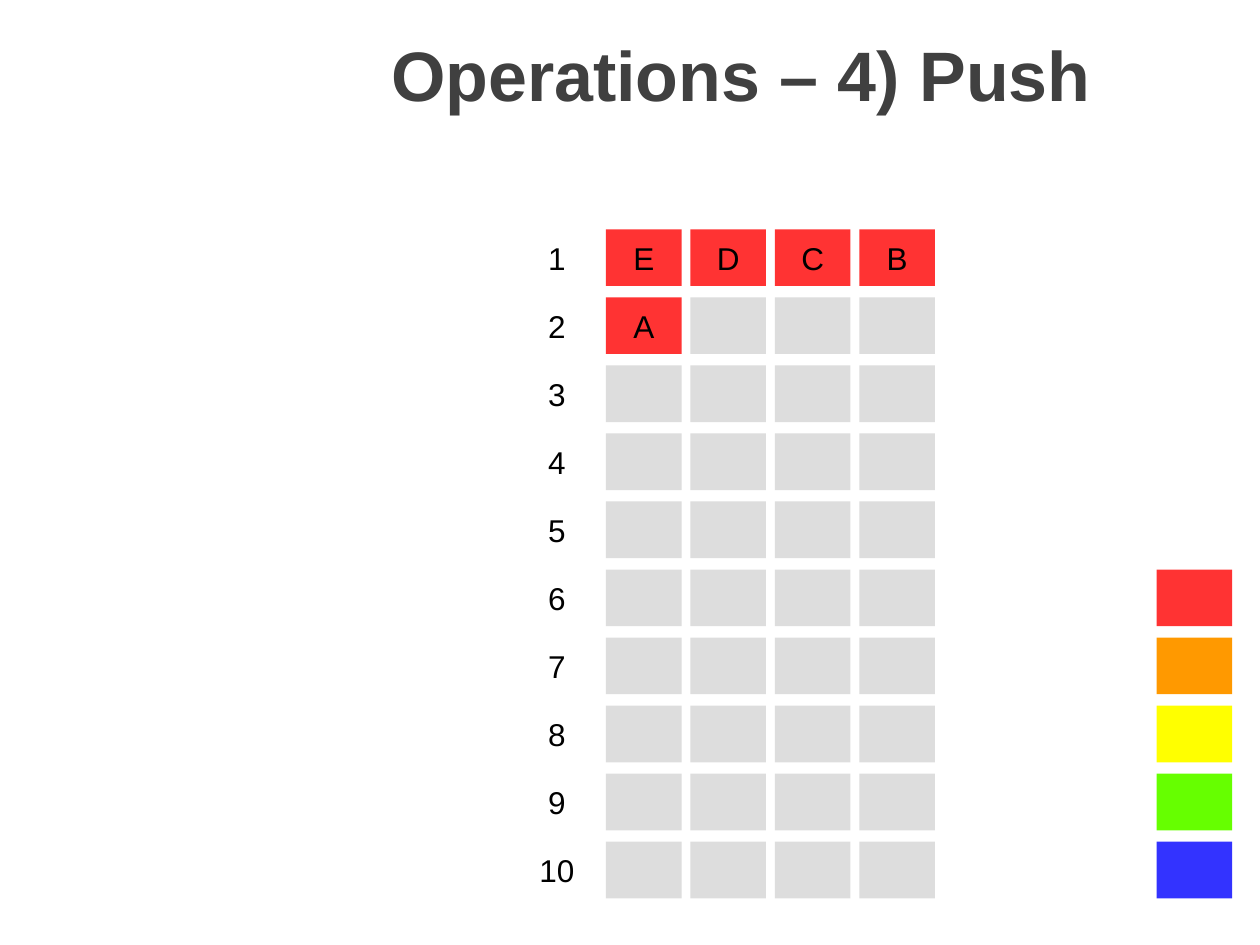
from dataclasses import dataclass

from pptx import Presentation, util as u
from pptx.dml.color import RGBColor
from pptx.enum import shapes, text


@dataclass(frozen=True)
class Theme:
    font: str = "Arial"
    head: int = 40
    body: int = 18
    dark: str = "404040"
    ink: str = "000000"
    blank: str = "FFFFFF"
    free: str = "DDDDDD"
    used: str = "FF3333"
    keys: tuple[str, ...] = ("FF3333", "FF9900", "FFFF00", "66FF00", "3333FF")


@dataclass(frozen=True)
class Grid:
    left: float
    top: float = 1.82
    col: float = 0.67
    row: float = 0.54
    wide: float = 0.6
    high: float = 0.45


@dataclass(frozen=True)
class Cell:
    grid: Grid
    col: int
    row: int
    fill: str
    label: str = ""


LOOK = Theme()
STACK, INDEX, LEGEND = Grid(4.81), Grid(4.12), Grid(9.18)
ROWS, COLS = 10, 4
ITEMS = "EDCBA"


def style(frame, size: int, color: str, bold: bool = False) -> None:
    frame.word_wrap = True
    frame.vertical_anchor = text.MSO_ANCHOR.MIDDLE
    para = frame.paragraphs[0]
    para.alignment = text.PP_ALIGN.CENTER
    for run in para.runs:
        font = run.font
        font.name, font.size, font.bold = LOOK.font, u.Pt(size), bold
        font.color.rgb = RGBColor.from_string(color)


def draw(slide, cell: Cell) -> None:
    grid = cell.grid
    box = slide.shapes.add_shape(
        shapes.MSO_SHAPE.RECTANGLE,
        u.Inches(grid.left + cell.col * grid.col),
        u.Inches(grid.top + cell.row * grid.row),
        u.Inches(grid.wide), u.Inches(grid.high))
    box.shadow.inherit = False
    box.fill.solid()
    box.fill.fore_color.rgb = RGBColor.from_string(cell.fill)
    box.line.fill.background()
    if cell.label:
        box.text_frame.text = cell.label
        style(box.text_frame, LOOK.body, LOOK.ink)


deck = Presentation()
deck.slide_width, deck.slide_height = u.Inches(10), u.Inches(7.5)
slide = deck.slides.add_slide(deck.slide_layouts[5])

# Title
title = slide.shapes.title
title.left, title.top = u.Inches(1.77), u.Inches(0)
title.width, title.height = u.Inches(8.22), u.Inches(1.16)
title.text_frame.text = "Operations – 4) Push"
style(title.text_frame, LOOK.head, LOOK.dark, True)

# Stack slots, filled row by row from the top
for slot in range(ROWS * COLS):
    row, col = divmod(slot, COLS)
    label = ITEMS[slot:slot + 1]
    draw(slide, Cell(STACK, col, row, LOOK.used if label else LOOK.free, label))

# Row numbers
for row in range(ROWS):
    draw(slide, Cell(INDEX, 0, row, LOOK.blank, str(row + 1)))

# Colour key, level with the lower rows
for row, color in enumerate(LOOK.keys, ROWS - len(LOOK.keys)):
    draw(slide, Cell(LEGEND, 0, row, color))

deck.save("out.pptx")
